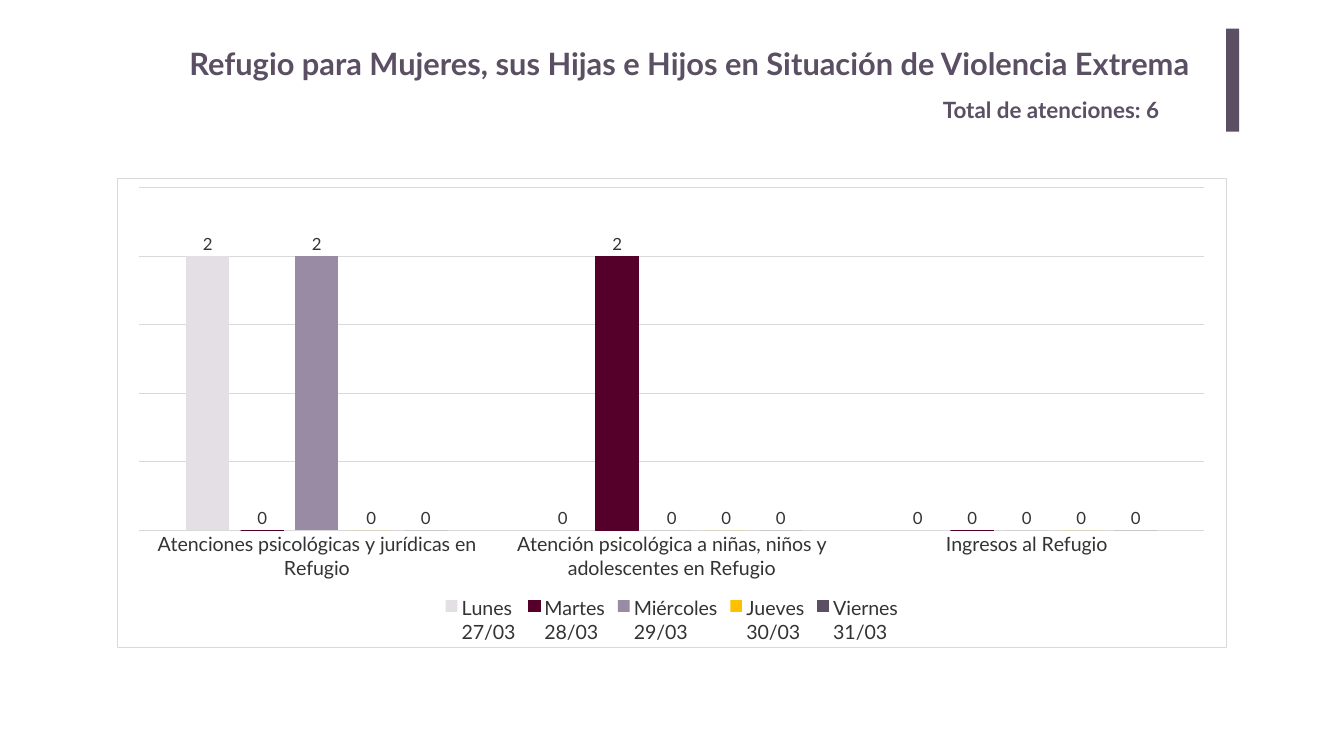
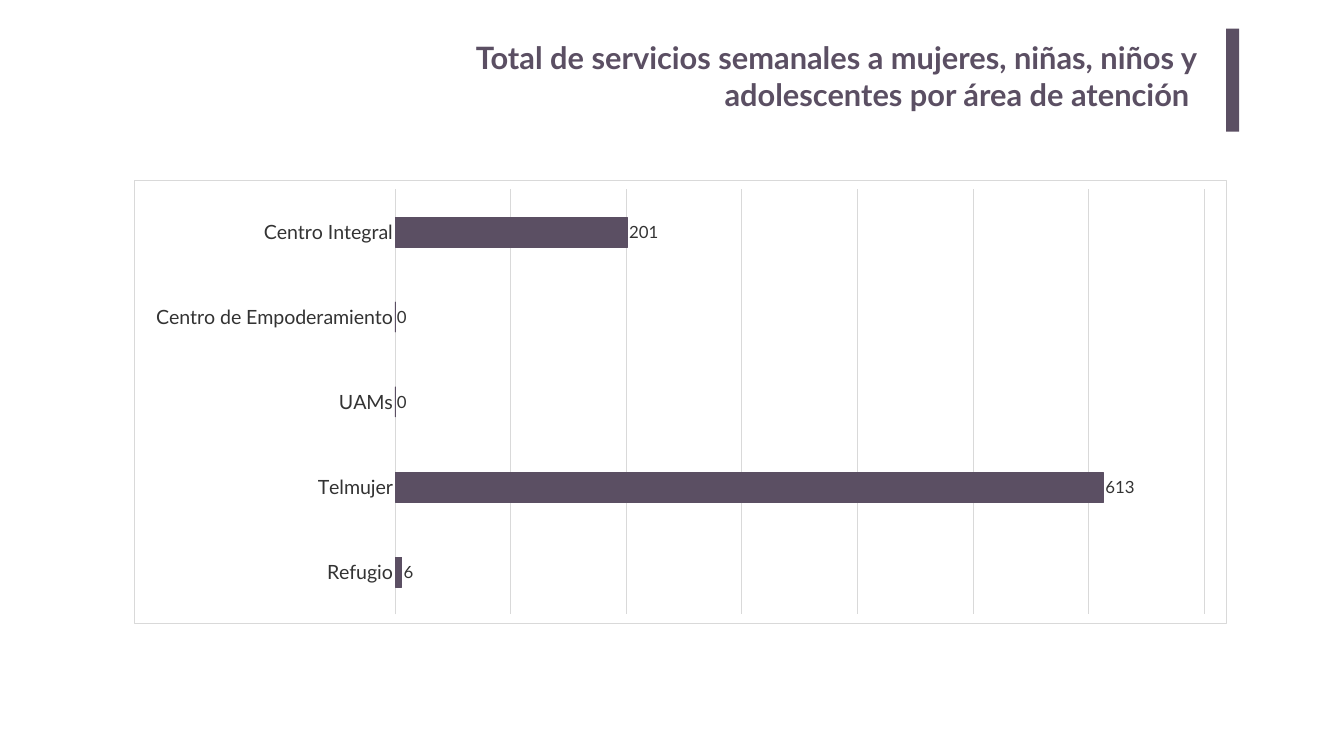
import pptx
import pptx.util
import pptx.chart.data
import pptx.dml.color
import pptx.enum.chart
import pptx.enum.shapes
import pptx.enum.text
import pptx.oxml
import pptx.oxml.ns

Inches, Pt = pptx.util.Inches, pptx.util.Pt
Kind = pptx.enum.chart.XL_CHART_TYPE
Align = pptx.enum.text.PP_ALIGN

PLUM, WINE, MAUVE, PALE, GOLD = "5B4F63", "54002A", "998BA3", "E3DFE5", "FFC000"
INK, GRID, WHITE = "333333", "D9D9D9", "FFFFFF"
FACE = "Lato"
THIN = Pt(0.75)


def color(code):
    return pptx.dml.color.RGBColor.from_string(code)


class Deck:
    """Holds the shared style and the current slide."""

    def __init__(self):
        self.file = pptx.Presentation()
        self.file.slide_width = Inches(26.67)
        self.file.slide_height = Inches(15)

    def page(self):
        self.slide = self.file.slides.add_slide(self.file.slide_layouts[6])
        fill = self.slide.background.fill
        fill.solid()
        fill.fore_color.rgb = color(WHITE)
        self.band()

    def band(self):
        bar = self.slide.shapes.add_shape(
            pptx.enum.shapes.MSO_SHAPE.RECTANGLE,
            Inches(24.33), Inches(0.57), Inches(0.26), Inches(2.04))
        bar.shadow.inherit = False
        bar.fill.solid()
        bar.fill.fore_color.rgb = color(PLUM)
        bar.line.fill.background()

    def text(self, words, box, size=44, align=Align.LEFT, inset=0.1):
        frame = self.slide.shapes.add_textbox(*map(Inches, box)).text_frame
        frame.word_wrap = True
        frame.margin_left = frame.margin_right = Inches(inset)
        frame.margin_top = frame.margin_bottom = Inches(inset / 2)
        para = frame.paragraphs[0]
        para.text = words
        para.alignment = align
        self.font(para.font, size, PLUM, True)

    def font(self, font, size, code=INK, bold=False):
        font.name = FACE
        font.size = Pt(size)
        font.bold = bold
        font.color.rgb = color(code)

    def line(self, line, code):
        line.color.rgb = color(code)
        line.width = THIN

    def chart(self, kind, box, names, rows, gap, top, step):
        """Each row is (name, values, fill, outlined)."""
        data = pptx.chart.data.CategoryChartData()
        data.categories = names
        for name, values, *_ in rows:
            data.add_series(name, values)
        chart = self.slide.shapes.add_chart(kind, *map(Inches, box), data).chart
        chart.has_title = False
        chart.has_legend = False
        self.font(chart.font, 10, "000000")
        self.frame(chart)

        # Axes
        cats, vals = chart.category_axis, chart.value_axis
        cats.major_tick_mark = pptx.enum.chart.XL_TICK_MARK.NONE
        cats.has_major_gridlines = False
        self.font(cats.tick_labels.font, 28)
        self.line(cats.format.line, GRID)
        vals.minimum_scale, vals.maximum_scale, vals.major_unit = 0, top, step
        vals.has_major_gridlines = True
        self.line(vals.major_gridlines.format.line, GRID)
        vals.visible = False

        # Bars and their values
        plot = chart.plots[0]
        plot.vary_by_categories = False
        plot.gap_width = gap
        for bars, (_, _, code, edged) in zip(plot.series, rows):
            bars.invert_if_negative = False
            bars.format.fill.solid()
            bars.format.fill.fore_color.rgb = color(code)
            if edged:
                self.line(bars.format.line, code)
            else:
                bars.format.line.fill.background()
            tags = bars.data_labels
            tags.show_value = True
            tags.position = pptx.enum.chart.XL_LABEL_POSITION.OUTSIDE_END
            self.font(tags.font, 24)
        return chart

    def frame(self, chart):
        """White ground with a thin grey border."""
        space = pptx.oxml.ns.nsdecls("c", "a")
        part = pptx.oxml.parse_xml(
            f'<c:spPr {space}><a:solidFill><a:srgbClr val="{WHITE}"/></a:solidFill>'
            f'<a:ln w="{int(THIN)}"><a:solidFill><a:srgbClr val="{GRID}"/>'
            '</a:solidFill></a:ln></c:spPr>')
        chart.element.find(pptx.oxml.ns.qn("c:chart")).addnext(part)

    def legend(self, chart):
        chart.has_legend = True
        chart.legend.position = pptx.enum.chart.XL_LEGEND_POSITION.BOTTOM
        chart.legend.include_in_layout = False
        self.font(chart.legend.font, 28)


def main():
    deck = Deck()

    # Shelter: services by day
    deck.page()
    deck.text("Total de atenciones: 6", (18.61, 1.85, 5.35, 0.64), 32)
    deck.text("Refugio para Mujeres, sus Hijas e Hijos en Situación de Violencia Extrema",
              (3.66, 0.84, 20.73, 0.84))
    days = [
        ("Lunes\n27/03", (2, 0, 0), PALE, False),
        ("Martes\n28/03", (0, 2, 0), WINE, True),
        ("Miércoles\n29/03", (2, 0, 0), MAUVE, False),
        ("Jueves\n30/03", (0, 0, 0), GOLD, False),
        ("Viernes\n31/03", (0, 0, 0), PLUM, False),
    ]
    needs = ["Atenciones psicológicas y jurídicas en Refugio",
             "Atención psicológica a niñas, niños y adolescentes en Refugio",
             "Ingresos al Refugio"]
    chart = deck.chart(Kind.COLUMN_CLUSTERED, (2.32, 3.53, 22.02, 9.32),
                       needs, days, 219, 2.5, 0.5)
    chart.plots[0].overlap = -27
    deck.legend(chart)

    # Weekly total by area
    deck.page()
    deck.text("Total de servicios semanales a mujeres, niñas, niños y "
              "adolescentes por área de atención ",
              (6.56, 0.67, 17.4, 2.04), align=Align.RIGHT, inset=0.2)
    areas = ["Centro Integral", "Centro de Empoderamiento", "UAMs", "Telmujer", "Refugio"]
    week = [("Series 1", (201, 0, 0, 613, 6), PLUM, True)]
    chart = deck.chart(Kind.BAR_CLUSTERED, (2.66, 3.58, 21.67, 8.79),
                       areas, week, 182, 700, 100)
    chart.category_axis.reverse_order = True

    deck.file.save("out.pptx")


if __name__ == "__main__":
    main()
